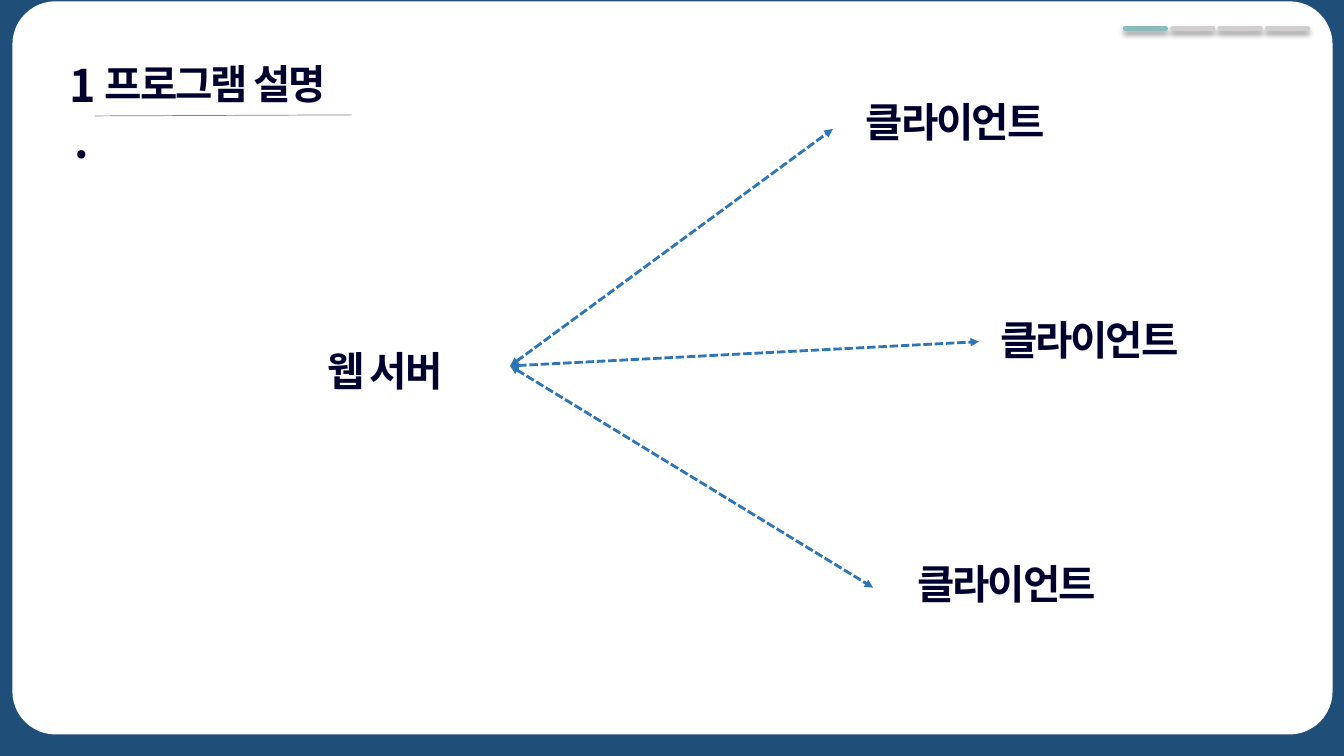
from lxml.etree import SubElement
from pptx import Presentation
from pptx.dml.color import RGBColor
from pptx.enum.dml import MSO_LINE
from pptx.enum.shapes import MSO_CONNECTOR, MSO_SHAPE
from pptx.enum.text import MSO_ANCHOR, MSO_AUTO_SIZE, PP_ALIGN
from pptx.oxml.ns import qn
from pptx.util import Inches, Pt

FONT = "Noto Sans CJK KR"
COLORS = {
    "background": "1F4E79", "card": "FFFFFF", "text": "00002F",
    "rule": "808080", "current": "8DBABD", "other": "D0CECE", "arrow": "2E75B6",
}


def color(name):
    """Return the named palette colour."""
    return RGBColor.from_string(COLORS[name])


def apply_format(target, values):
    """Set every attribute in a dict of format values."""
    for name, value in values.items():
        setattr(target, name, value)


def write(box, text, size, leading, align=PP_ALIGN.LEFT):
    """Write one bold, tightly spaced heading into a box."""
    apply_format(box.text_frame, {
        "word_wrap": True, "auto_size": MSO_AUTO_SIZE.NONE,
        "vertical_anchor": MSO_ANCHOR.TOP,
    })
    para = box.text_frame.paragraphs[0]
    apply_format(para, {
        "alignment": align, "line_spacing": Pt(leading), "space_before": Pt(0),
    })
    span = para.add_run()
    span.text = text
    apply_format(span.font, {"name": FONT, "size": Pt(size), "bold": True})
    span.font.color.rgb = color("text")
    properties = span.font._element
    properties.set("spc", "-150")
    SubElement(properties, qn("a:ea"), typeface=FONT)


def add_label(page, text, left, top, width):
    """Add a one-line diagram label."""
    box = page.shapes.add_textbox(
        Inches(left), Inches(top), Inches(width), Inches(0.59))
    write(box, text, 29, 37)


def add_line(page, start, end, color_name, width):
    """Add a straight line and return it with its empty effect list."""
    line = page.shapes.add_connector(
        MSO_CONNECTOR.STRAIGHT, *(Inches(value) for value in (*start, *end)))
    line.line.color.rgb = color(color_name)
    line.line.width = Pt(width)
    effects = SubElement(line._element.spPr, qn("a:effectLst"))
    return line, effects


def add_arrow(page, start, end):
    """Add a dashed arrow with a head at both ends."""
    arrow, _ = add_line(page, start, end, "arrow", 2)
    arrow.line.dash_style = MSO_LINE.SQUARE_DOT
    for tag in ("a:headEnd", "a:tailEnd"):
        SubElement(arrow.line._ln, qn(tag), type="triangle")


def add_progress(page, count, current):
    """Add the row of shadowed progress marks."""
    for index in range(count):
        left = 11.16 + 0.47 * index
        name = "current" if index == current else "other"
        mark, effects = add_line(page, (left, 0.28), (left + 0.4, 0.28), name, 3.5)
        mark.line._ln.set("cap", "rnd")
        shadow = SubElement(
            effects, qn("a:outerShdw"), blurRad=str(Pt(4)), dist=str(Pt(3)),
            dir="5400000", algn="t", rotWithShape="0")
        black = SubElement(shadow, qn("a:srgbClr"), val="000000")
        SubElement(black, qn("a:alpha"), val="40000")


def add_card(page):
    """Add the rounded white panel."""
    card = page.shapes.add_shape(
        MSO_SHAPE.ROUNDED_RECTANGLE,
        Inches(0.13), Inches(0.02), Inches(13.08), Inches(7.26))
    card.adjustments[0] = 0.058
    card.shadow.inherit = False
    card.fill.solid()
    card.fill.fore_color.rgb = color("card")
    card.line.color.rgb = color("card")
    card.line.width = Pt(1)


def add_heading(page):
    """Place the title, its number and the rule below."""
    add_line(page, (0.94, 1.15), (3.49, 1.14), "rule", 0.5)
    title = page.shapes.title
    apply_format(title, {
        "left": Inches(0.94), "top": Inches(0.5),
        "width": Inches(4.98), "height": Inches(0.59),
    })
    write(title, "프로그램 설명", 29, 37)
    page.shapes._spTree.append(title._element)
    number = page.shapes.add_textbox(
        Inches(0.54), Inches(0.5), Inches(0.54), Inches(0.64))
    write(number, "1.", 32, 40, PP_ALIGN.CENTER)


def main():
    """Build the server and clients slide."""
    deck = Presentation()
    apply_format(deck, {"slide_width": Inches(13.33), "slide_height": Inches(7.5)})
    page = deck.slides.add_slide(deck.slide_layouts[5])
    page.background.fill.solid()
    page.background.fill.fore_color.rgb = color("background")
    add_card(page)
    add_heading(page)
    add_progress(page, 4, 0)
    clients = [
        ((8.26, 1.28), (8.49, 0.88)),
        ((9.71, 3.39), (9.82, 3.04)),
        ((8.66, 5.83), (9, 5.47)),
    ]
    for arrow_end, label_corner in clients:
        add_arrow(page, (5.06, 3.63), arrow_end)
        add_label(page, "클라이언트", *label_corner, 2.69)
    add_label(page, "웹 서버", 3.15, 3.35, 1.72)
    deck.save("out.pptx")


main()
